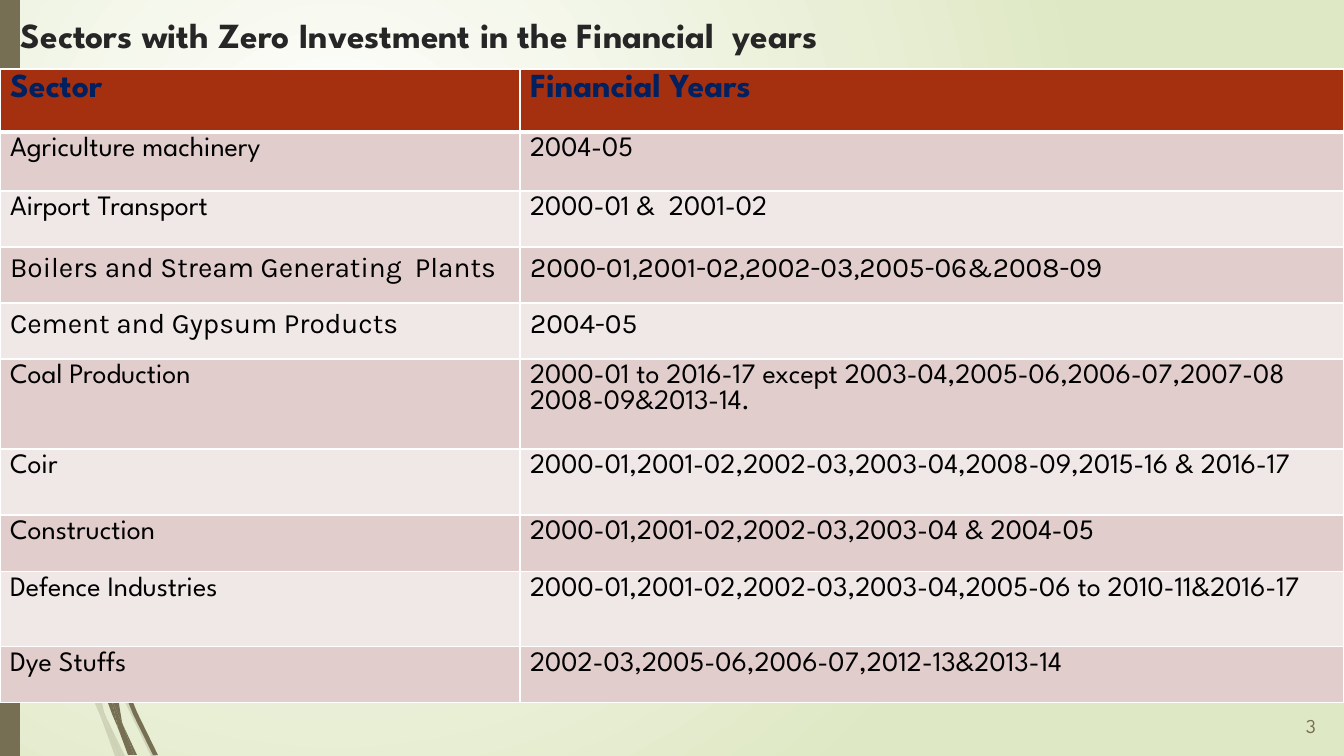
"""Build the slide listing sectors with zero investment by financial year."""
from lxml import etree
from pptx import Presentation
from pptx import util as u
from pptx.dml.color import RGBColor
from pptx.enum import shapes, text
from pptx.oxml import ns, parse_xml

TITLE = "Sectors with Zero Investment in the Financial  years"
MAIN, ALT = "League Spartan", "Karla"
OLIVE, WHITE = "766F54", "FFFFFF"
ROWS = [
    (63, MAIN, "Sector", "Financial Years"),
    (59, MAIN, "Agriculture machinery", "2004-05"),
    (56, MAIN, "Airport Transport", "2000-01 &  2001-02"),
    (56, ALT, "Boilers and Stream Generating  Plants",
     "2000-01,2001-02,2002-03,2005-06&2008-09"),
    (56, ALT, "Cement and Gypsum Products", "2004-05"),
    (90, MAIN, "Coal Production",
     "2000-01 to 2016-17 except 2003-04,2005-06,2006-07,2007-08\n2008-09&2013-14."),
    (66, MAIN, "Coir", "2000-01,2001-02,2002-03,2003-04,2008-09,2015-16 & 2016-17"),
    (57, MAIN, "Construction", "2000-01,2001-02,2002-03,2003-04 & 2004-05"),
    (75, MAIN, "Defence Industries",
     "2000-01,2001-02,2002-03,2003-04,2005-06 to 2010-11&2016-17"),
    (56, MAIN, "Dye Stuffs", "2002-03,2005-06,2006-07,2012-13&2013-14"),
]
COLS = (520, 824)
WISPS = {
    20: [
        [(89, 601), (89, 615), (124, 700), (151, 756), (156, 756), (128, 698), (93, 612)],
        [(120, 756), (125, 756), (106, 717)],
        [(94, 688), (71, 624), (31, 473), (17, 379), (11, 353), (28, 474), (66, 626),
         (93, 699), (102, 720), (100, 713)],
        [(85, 604), (88, 651), (94, 688), (97, 698), (106, 717), (104, 712), (92, 651),
         (89, 615), (89, 613)],
        [(102, 720), (115, 756), (120, 756)],
        [(97, 698), (94, 688), (100, 713), (102, 720), (120, 756), (106, 717)],
    ],
    100: [
        [(114, 654), (111, 646), (112, 661), (133, 714), (153, 755), (158, 755), (137, 712)],
        [(111, 697), (99, 662), (73, 560), (65, 509), (57, 481), (69, 561), (94, 664),
         (112, 714), (118, 728), (117, 723)],
        [(134, 755), (137, 755), (123, 725)],
        [(118, 728), (128, 755), (132, 755)],
        [(107, 650), (111, 697), (117, 712), (123, 725), (122, 722), (112, 661), (110, 656)],
        [(117, 712), (111, 697), (117, 723), (118, 728), (131, 755), (134, 755), (123, 725)],
    ],
}
PX = 12192000 / 1344


def px(n):
    return u.Emu(round(n * PX))


def rgb(code):
    return RGBColor.from_string(code)


def paint(shape, color, alpha=100):
    shape.shadow.inherit = False
    shape.fill.solid()
    shape.fill.fore_color.rgb = rgb(color)
    shape.line.fill.background()
    if alpha < 100:
        tone = shape.fill._xPr.find(".//" + ns.qn("a:srgbClr"))
        etree.SubElement(tone, ns.qn("a:alpha")).set("val", str(alpha * 1000))


def write(frame, words, size, color, font=MAIN, bold=False):
    frame.word_wrap = True
    frame.text = words
    for para in frame.paragraphs:
        face = para.font
        face.name, face.size, face.bold = font, u.Pt(size), bold
        face.color.rgb = rgb(color)


def label(slide, box, words, size, color, bold=False):
    frame = slide.shapes.add_textbox(*map(px, box)).text_frame
    write(frame, words, size, color, bold=bold)
    frame.vertical_anchor = text.MSO_ANCHOR.MIDDLE
    return frame


def backdrop(slide):
    fill = slide.background.fill
    fill.gradient()
    old = slide.background._cSld.find(".//" + ns.qn("a:gradFill"))
    stops = "".join(f'<a:gs pos="{pos}"><a:srgbClr val="{tone}"/></a:gs>'
                    for pos, tone in ((0, WHITE), (100000, "DFE8C4")))
    new = parse_xml(
        f'<a:gradFill {ns.nsdecls("a")} rotWithShape="1"><a:gsLst>{stops}</a:gsLst>'
        '<a:path path="circle"><a:fillToRect l="50000" t="50000" r="100000" b="100000"/>'
        '</a:path></a:gradFill>')
    old.getparent().replace(old, new)


def borders(cell, widths):
    props = cell._tc.get_or_add_tcPr()
    for spot, (side, width) in enumerate(widths.items()):
        props.insert(spot, parse_xml(
            f'<a:ln{side} {ns.nsdecls("a")} w="{u.Pt(width)}"><a:solidFill>'
            f'<a:srgbClr val="{WHITE}"/></a:solidFill></a:ln{side}>'))


def table(slide):
    high = sum(row[0] for row in ROWS)
    grid = slide.shapes.add_table(len(ROWS), len(COLS), 0, px(69),
                                  px(sum(COLS)), px(high)).table
    for col, wide in zip(grid.columns, COLS):
        col.width = px(wide)
    for r, (tall, font, *words) in enumerate(ROWS):
        grid.rows[r].height = px(tall)
        head = r == 0
        tone = "A53010" if head else ("F0E8E7", "E1CDCC")[r % 2]
        for c, word in enumerate(words):
            cell = grid.cell(r, c)
            cell.fill.solid()
            cell.fill.fore_color.rgb = rgb(tone)
            write(cell.text_frame, word, 24 if head else 20,
                  "002060" if head else "000000", font, head)
            borders(cell, {"L": 1, "R": 1, "T": 3 if r == 1 else 1, "B": 3 if head else 1})


def main():
    deck = Presentation()
    deck.slide_width, deck.slide_height = px(1344), px(756)
    slide = deck.slides.add_slide(deck.slide_layouts[6])
    backdrop(slide)
    for alpha, group in WISPS.items():
        for points in group:
            path = slide.shapes.build_freeform(*points[0], scale=PX)
            path.add_line_segments(points[1:], close=True)
            paint(path.convert_to_shape(), OLIVE, alpha)
    bar = slide.shapes.add_shape(shapes.MSO_SHAPE.RECTANGLE, 0, 0, px(20), px(756))
    paint(bar, OLIVE)
    label(slide, (11, 7, 1152, 55), TITLE, 25.2, "262626", True)
    table(slide)
    page = label(slide, (1269, 706, 57, 40), "3", 14, OLIVE)
    page.paragraphs[0].alignment = text.PP_ALIGN.RIGHT
    deck.save("out.pptx")


if __name__ == "__main__":
    main()
